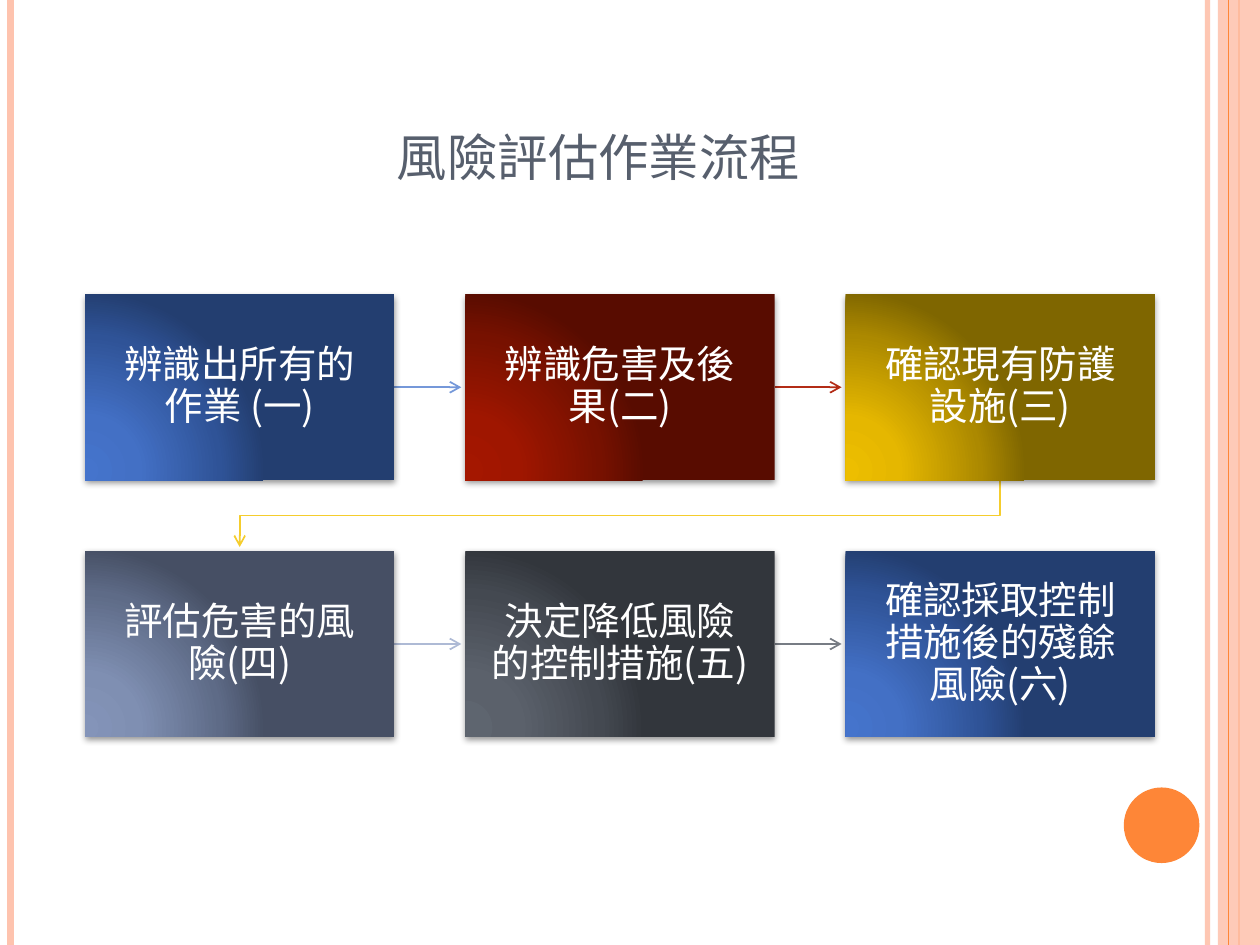
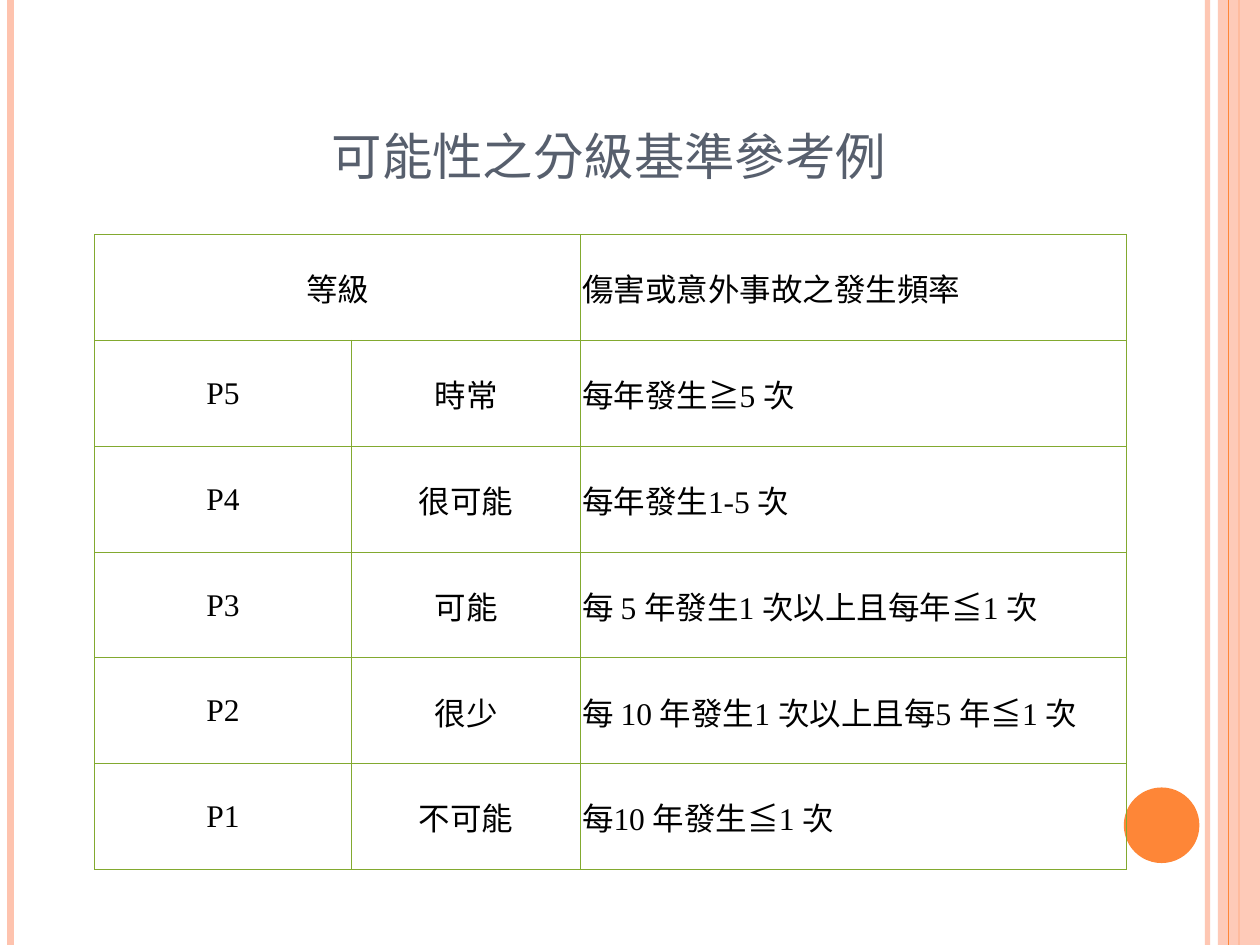
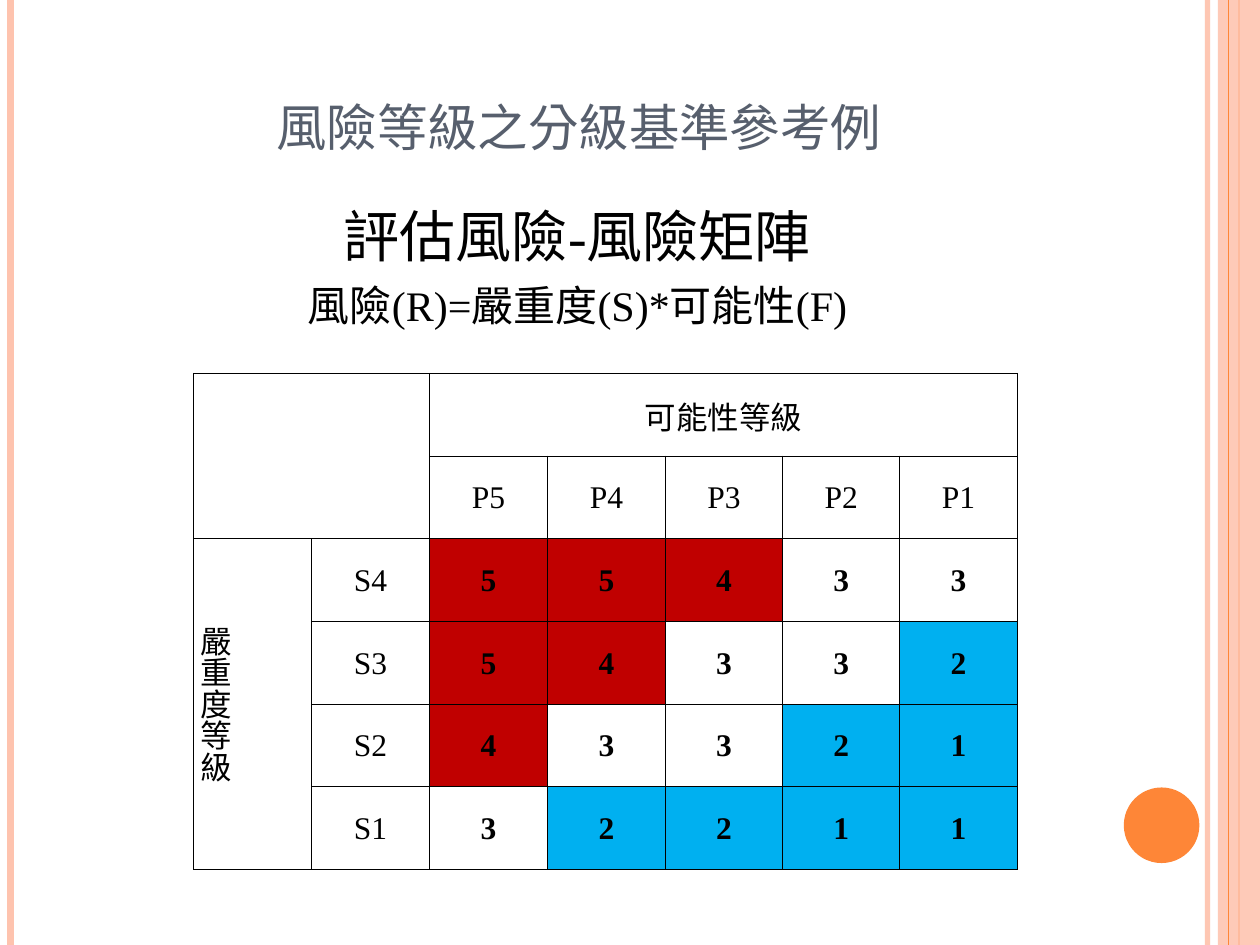
from lxml.etree import SubElement
from pptx import Presentation
from pptx.dml.color import RGBColor
from pptx.enum.shapes import MSO_CONNECTOR, MSO_SHAPE
from pptx.enum.text import MSO_ANCHOR, MSO_AUTO_SIZE, PP_ALIGN
from pptx.oxml.ns import qn
from pptx.util import Pt

W, H = 720, 540
SANS, SERIF = "Noto Sans CJK SC", "Times New Roman"
COLORS = {
    "band": "FEC3AE", "accent": "FE8637", "title": "575F6D",
    "black": "000000", "white": "FFFFFF", "grid": "82A92F",
    "high": "C00000", "low": "00B0F0",
    "blue_line": "7598D9", "red_line": "B32C16", "gold_line": "F5CD2D",
    "lilac_line": "AEBAD5", "slate_line": "777C84",
}
GRADIENTS = {
    "blue": ("4574CC", "4370C5", "2F5397", "233E70"),
    "red": ("A41700", "9F1600", "771100", "580C00"),
    "gold": ("EDBE00", "E5B700", "AC8900", "7F6600"),
    "lilac": ("8494B9", "7F8FB2", "5E6B87", "464F64"),
    "slate": ("5E656F", "5B616B", "444951", "32363C"),
}
STEPS = [
    ("辨識出所有的作業 (一)", "blue"),
    ("辨識危害及後果(二)", "red"),
    ("確認現有防護設施(三)", "gold"),
    ("評估危害的風險(四)", "lilac"),
    ("決定降低風險的控制措施(五)", "slate"),
    ("確認採取控制措施後的殘餘風險(六)", "blue"),
]
LIKELIHOOD = [
    ("等級", "", "傷害或意外事故之發生頻率"),
    ("P5", "時常", "每年發生≧5 次"),
    ("P4", "很可能", "每年發生1-5 次"),
    ("P3", "可能", "每 5 年發生1 次以上且每年≦1 次"),
    ("P2", "很少", "每 10 年發生1 次以上且每5 年≦1 次"),
    ("P1", "不可能", "每10 年發生≦1 次"),
]
MATRIX = [
    ("", "", "可能性等級", "", "", "", ""),
    ("", "", "P5", "P4", "P3", "P2", "P1"),
    ("嚴重度等級", "S4", "5", "5", "4", "3", "3"),
    ("", "S3", "5", "4", "3", "3", "2"),
    ("", "S2", "4", "3", "3", "2", "1"),
    ("", "S1", "3", "2", "2", "1", "1"),
]
BOX_W, BOX_H = 176.8, 106.2
BOX_X, BOX_Y = 48.6, 168.2
PITCH_X, PITCH_Y = 217.3, 146.7
ARROW = 38.2


def rgb(name):
    return RGBColor.from_string(COLORS[name])


def add_el(parent, tag, **attrs):
    return SubElement(parent, qn(tag), {k: str(v) for k, v in attrs.items()})


def set_alpha(sp, percent):
    for clr in sp.element.spPr.iter(qn("a:srgbClr")):
        add_el(clr, "a:alpha", val=percent * 1000)


def add_run(p, text, size, color, font=SANS, bold=False):
    r = p.add_run()
    r.text = text
    r.font.size, r.font.bold, r.font.name = Pt(size), bold, font
    r.font.color.rgb = rgb(color)
    rPr = r.font._element
    rPr.set("lang", "zh-TW")
    add_el(rPr, "a:ea", typeface=SANS)
    return r


def set_line(sp, color, width, arrow=False):
    sp.line.color.rgb = rgb(color)
    sp.line.width = Pt(width)
    if arrow:
        add_el(sp.element.spPr.find(qn("a:ln")), "a:tailEnd", type="arrow")


def add_line(s, x1, y1, x2, y2, color, width, arrow=False):
    sp = s.shapes.add_connector(MSO_CONNECTOR.STRAIGHT, Pt(x1), Pt(y1), Pt(x2), Pt(y2))
    set_line(sp, color, width, arrow)
    add_el(sp.element.spPr, "a:effectLst")
    return sp


def add_elbow(s, points, color):
    builder = s.shapes.build_freeform(Pt(points[0][0]), Pt(points[0][1]))
    builder.add_line_segments([(Pt(x), Pt(y)) for x, y in points[1:]], close=False)
    sp = builder.convert_to_shape()
    sp.fill.background()
    set_line(sp, color, 1, arrow=True)
    sp.shadow.inherit = False


def add_plain(s, kind, x, y, w, h, color):
    sp = s.shapes.add_shape(kind, Pt(x), Pt(y), Pt(w), Pt(h))
    sp.fill.solid()
    sp.fill.fore_color.rgb = rgb(color)
    sp.line.fill.background()
    sp.shadow.inherit = False
    return sp


def decorate_layout(layout, s):
    edge = add_line(s, 690, 0, 690, H, "band", 3)
    set_alpha(edge, 93)
    left = add_line(s, 6, 0, 6, H, "band", 4.5)
    outer = add_line(s, 708, 0, 708, H, "accent", 1.5)
    band = add_plain(s, MSO_SHAPE.RECTANGLE, 696, 0, 24, H, "band")
    set_alpha(band, 87)
    inner = add_line(s, 702, 0, 702, H, "accent", 0.75)
    disc = add_plain(s, MSO_SHAPE.OVAL, 642.2, 450, 43.2, 43.2, "accent")
    for sp in (edge, left, outer, band, inner, disc):
        layout.shapes.element.append(sp.element)


def set_title(s, text, x, y, h):
    sp = s.shapes.title
    sp.left, sp.top, sp.width, sp.height = Pt(x), Pt(y), Pt(588), Pt(h)
    tf = sp.text_frame
    tf.auto_size = MSO_AUTO_SIZE.NONE
    tf.vertical_anchor = MSO_ANCHOR.BOTTOM
    p = tf.paragraphs[0]
    p.alignment = PP_ALIGN.CENTER
    r = add_run(p, text, 36, "title")
    r.font._element.set("cap", "small")


def set_gradient(sp, stops):
    spPr = sp.element.spPr
    solid = spPr.find(qn("a:solidFill"))
    grad = add_el(spPr, "a:gradFill", rotWithShape=1)
    gs_list = add_el(grad, "a:gsLst")
    for pos, color in zip((0, 30, 75, 100), stops):
        add_el(add_el(gs_list, "a:gs", pos=pos * 1000), "a:srgbClr", val=color)
    circle = add_el(grad, "a:path", path="circle")
    add_el(circle, "a:fillToRect", l=5000, t=100000, r=120000, b=10000)
    spPr.replace(solid, grad)


def set_shadow(sp):
    effects = sp.element.spPr.find(qn("a:effectLst"))
    shadow = add_el(effects, "a:outerShdw", blurRad=Pt(4), dist=Pt(1.6),
                    dir=90 * 60000, rotWithShape=0)
    add_el(add_el(shadow, "a:srgbClr", val=COLORS["black"]), "a:alpha", val=42000)


def add_step(s, x, y, text, gradient):
    sp = add_plain(s, MSO_SHAPE.RECTANGLE, x, y, BOX_W, BOX_H, "white")
    set_gradient(sp, GRADIENTS[gradient])
    set_shadow(sp)
    tf = sp.text_frame
    tf.word_wrap = True
    tf.vertical_anchor = MSO_ANCHOR.MIDDLE
    tf.margin_left = tf.margin_right = tf.margin_top = tf.margin_bottom = Pt(12.2)
    p = tf.paragraphs[0]
    p.alignment = PP_ALIGN.CENTER
    p.line_spacing = 0.9
    add_run(p, text, 22, "white")


def set_borders(cell, color):
    tcPr = cell._tc.get_or_add_tcPr()
    for i, tag in enumerate(("a:lnL", "a:lnR", "a:lnT", "a:lnB")):
        ln = add_el(tcPr, tag, w=Pt(0.5))
        add_el(add_el(ln, "a:solidFill"), "a:srgbClr", val=COLORS[color])
        tcPr.insert(i, ln)


def add_grid(s, x, y, widths, row_h, rows, border, merges, left_cols=()):
    frame = s.shapes.add_table(len(rows), len(widths), Pt(x), Pt(y),
                               Pt(sum(widths)), Pt(row_h * len(rows)))
    table = frame.table
    table.first_row = table.horz_banding = False
    for column, width in zip(table.columns, widths):
        column.width = Pt(width)
    for i, row in enumerate(rows):
        table.rows[i].height = Pt(row_h)
        for j, text in enumerate(row):
            cell = table.cell(i, j)
            cell.vertical_anchor = MSO_ANCHOR.MIDDLE
            cell.margin_left = cell.margin_right = cell.margin_top = Pt(0.72)
            cell.margin_bottom = 0
            cell.fill.background()
            set_borders(cell, border)
            p = cell.text_frame.paragraphs[0]
            p.alignment = PP_ALIGN.LEFT if j in left_cols else PP_ALIGN.CENTER
            if text:
                add_run(p, text, 18, "black", SERIF, bold=text.isdigit())
    for top, left, bottom, right in merges:
        table.cell(top, left).merge(table.cell(bottom, right))
    return table


def color_risks(table):
    for cell in table.iter_cells():
        text = cell.text_frame.text
        if text.isdigit():
            risk = int(text)
            cell.fill.solid()
            cell.fill.fore_color.rgb = rgb(
                "high" if risk > 3 else "low" if risk < 3 else "white")


def add_lines(s, x, y, w, h, lines):
    tf = s.shapes.add_textbox(Pt(x), Pt(y), Pt(w), Pt(h)).text_frame
    tf.word_wrap = True
    for i, (text, size) in enumerate(lines):
        p = tf.add_paragraph() if i else tf.paragraphs[0]
        p.alignment = PP_ALIGN.CENTER
        p.space_before = Pt(6)
        add_run(p, text, size, "black", SERIF)


def build_flow(s):
    set_title(s, "風險評估作業流程", 48, 43.2, 68.4)
    for i, (text, gradient) in enumerate(STEPS):
        row, col = divmod(i, 3)
        x, y = BOX_X + col * PITCH_X, BOX_Y + row * PITCH_Y
        line = gradient + "_line"
        if col < 2:
            mid = y + BOX_H / 2
            add_line(s, x + BOX_W, mid, x + BOX_W + ARROW, mid, line, 1, arrow=True)
        elif row == 0:
            start, end = x + BOX_W / 2, BOX_X + BOX_W / 2
            bottom, bend = y + BOX_H, y + (BOX_H + PITCH_Y) / 2
            add_elbow(s, [(start, bottom), (start, bend), (end, bend),
                          (end, bottom + ARROW)], line)
        add_step(s, x, y, text, gradient)


def build_likelihood(s):
    set_title(s, "可能性之分級基準參考例", 54, 20.9, 90)
    add_grid(s, 54, 134, (146.9, 131, 311.8), 60.48, LIKELIHOOD, "grid",
             [(0, 0, 0, 1)], left_cols=(2,))


def build_matrix(s):
    set_title(s, "風險等級之分級基準參考例", 36.7, 25.9, 68.4)
    add_lines(s, 36, 111.6, 588, 398,
              [("評估風險-風險矩陣", 32), ("風險(R)=嚴重度(S)*可能性(F)", 24)])
    table = add_grid(s, 110.7, 213.3, [67.4] * 4 + [67] * 3, 47.26, MATRIX, "black",
                     [(0, 0, 1, 1), (0, 2, 0, 6), (2, 0, 5, 0)])
    color_risks(table)
    table.cell(2, 0)._tc.get_or_add_tcPr().set("vert", "eaVert")


def main():
    prs = Presentation()
    prs.slide_width, prs.slide_height = Pt(W), Pt(H)
    layout = prs.slide_layouts[5]
    for i, build in enumerate((build_flow, build_likelihood, build_matrix)):
        s = prs.slides.add_slide(layout)
        if i == 0:
            decorate_layout(layout, s)
        build(s)
    prs.save("out.pptx")


if __name__ == "__main__":
    main()
